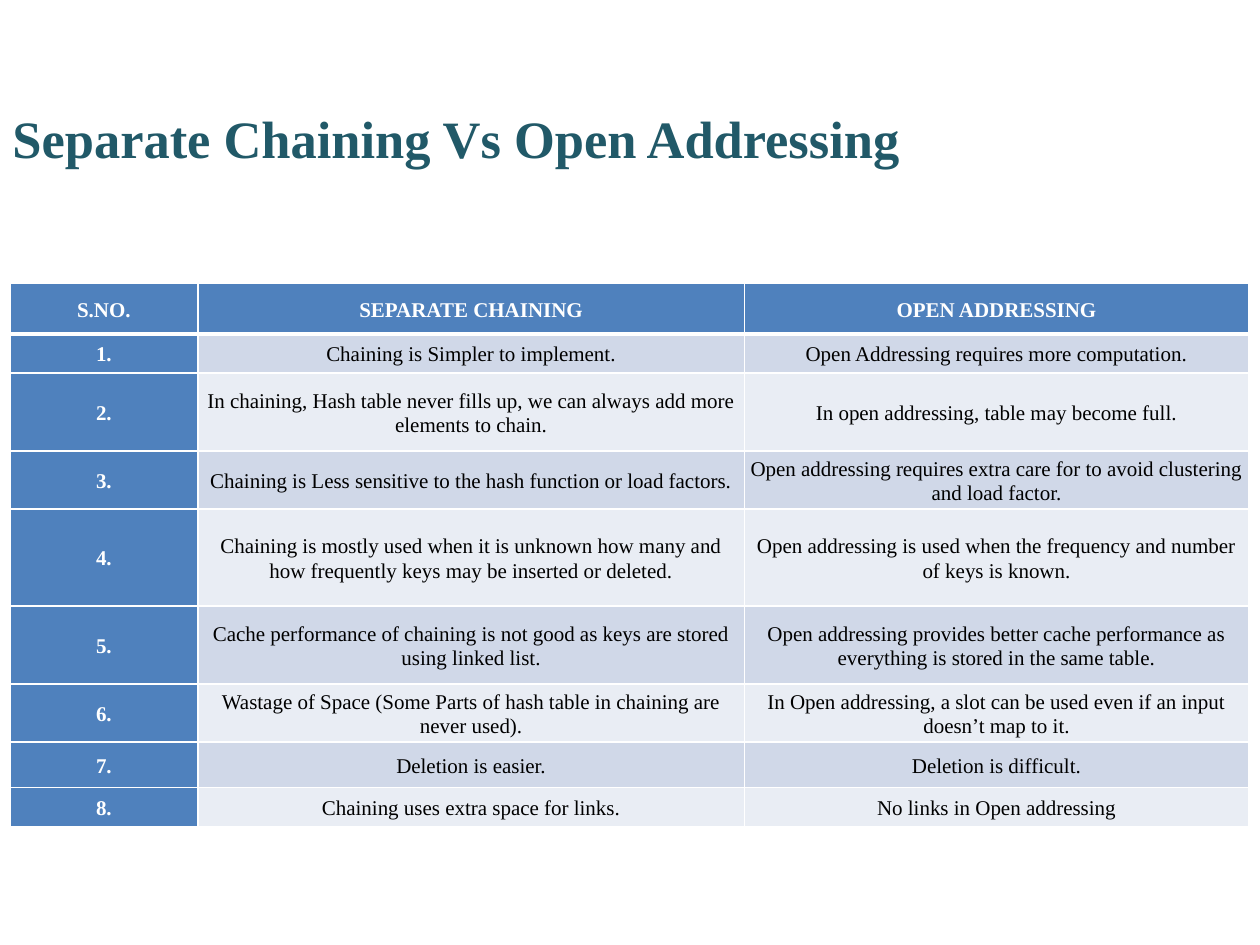
from dataclasses import dataclass

from pptx import Presentation
from pptx.dml.color import RGBColor as RGB
from pptx.enum.text import MSO_ANCHOR as Anchor, PP_ALIGN as Align
from pptx.oxml import parse_xml
from pptx.oxml.ns import nsdecls
from pptx.util import Inches, Pt


@dataclass(frozen=True)
class Theme:
    font: str = "Times New Roman"
    title_size: int = 30
    cell_size: int = 12
    title: str = "215968"
    header: str = "4F81BD"
    bands: tuple = ("D0D8E8", "E9EDF4")
    light: str = "FFFFFF"
    dark: str = "000000"


THEME = Theme()

HEADINGS = ("S.NO.", "SEPARATE CHAINING", "OPEN ADDRESSING")
COMPARISONS = [
    ("Chaining is Simpler to implement.",
     "Open Addressing requires more computation."),
    ("In chaining, Hash table never fills up, we can always add more elements to chain.",
     "In open addressing, table may become full."),
    ("Chaining is Less sensitive to the hash function or load factors.",
     "Open addressing requires extra care for to avoid clustering and load factor."),
    ("Chaining is mostly used when it is unknown how many and how frequently keys "
     "may be inserted or deleted.",
     "Open addressing is used when the frequency and number of keys is known."),
    ("Cache performance of chaining is not good as keys are stored using linked list.",
     "Open addressing provides better cache performance as everything is stored "
     "in the same table."),
    ("Wastage of Space (Some Parts of hash table in chaining are never used).",
     "In Open addressing, a slot can be used even if an input doesn’t map to it."),
    ("Deletion is easier.", "Deletion is difficult."),
    ("Chaining uses extra space for links.", "No links in Open addressing"),
]
COLUMN_WIDTHS = (1.49, 4.34, 4.0)
ROW_HEIGHTS = (0.4, 0.31, 0.62, 0.46, 0.77, 0.62, 0.46, 0.36, 0.31)


def set_font(paragraph, size, color, bold):
    font = paragraph.font
    font.name, font.size, font.bold = THEME.font, Pt(size), bold
    font.color.rgb = RGB.from_string(color)


def set_borders(cell, **widths):
    """Draw the cell's edges, given as L, R, T and B widths in points."""
    properties = cell._tc.get_or_add_tcPr()
    for edge, width in widths.items():
        properties.append(parse_xml(
            f'<a:ln{edge} {nsdecls("a")} w="{Pt(width)}"><a:solidFill>'
            f'<a:srgbClr val="{THEME.light}"/></a:solidFill></a:ln{edge}>'))


def fill_cell(cell, text, is_header, is_number, band):
    on_blue = is_header or is_number
    cell.vertical_anchor = Anchor.MIDDLE
    cell.margin_left = cell.margin_right = Inches(0.04)
    cell.margin_top, cell.margin_bottom = Inches(0.01), 0
    cell.text = text
    paragraph = cell.text_frame.paragraphs[0]
    paragraph.alignment = Align.CENTER
    paragraph.line_spacing = 1.07
    paragraph.space_after = Pt(8)
    set_font(paragraph, THEME.cell_size, THEME.light if on_blue else THEME.dark, on_blue)
    cell.fill.solid()
    cell.fill.fore_color.rgb = RGB.from_string(THEME.header if on_blue else band)


def add_title(slide, left, top, width, height):
    frame = slide.shapes.add_textbox(left, top, width, height).text_frame
    frame.word_wrap = True
    frame.vertical_anchor = Anchor.MIDDLE
    title = frame.paragraphs[0]
    title.text = "Separate Chaining Vs Open Addressing"
    set_font(title, THEME.title_size, THEME.title, True)


def add_comparison(slide, left, top, width, height):
    rows = [HEADINGS] + [(f"{number}.", *pair)
                         for number, pair in enumerate(COMPARISONS, 1)]
    table = slide.shapes.add_table(
        len(rows), len(HEADINGS), left, top, width, height).table
    for column, column_width in zip(table.columns, COLUMN_WIDTHS):
        column.width = Inches(column_width)
    for r, (texts, row_height) in enumerate(zip(rows, ROW_HEIGHTS)):
        table.rows[r].height = Inches(row_height)
        for c, text in enumerate(texts):
            cell = table.cell(r, c)
            # A thicker rule parts the headings from the body
            set_borders(cell, L=1, R=1, T=3 if r == 1 else 1, B=3 if r == 0 else 1)
            fill_cell(cell, text, r == 0, c == 0, THEME.bands[(r - 1) % 2])


def main():
    prs = Presentation()
    prs.slide_width, prs.slide_height = Inches(10), Inches(7.5)
    slide = prs.slides.add_slide(prs.slide_layouts[6])
    add_title(slide, 0, Inches(0.67), Inches(9.51), Inches(0.84))
    add_comparison(slide, Inches(0.08), Inches(2.25),
                   Inches(sum(COLUMN_WIDTHS)), Inches(sum(ROW_HEIGHTS)))
    prs.save("out.pptx")


if __name__ == "__main__":
    main()
